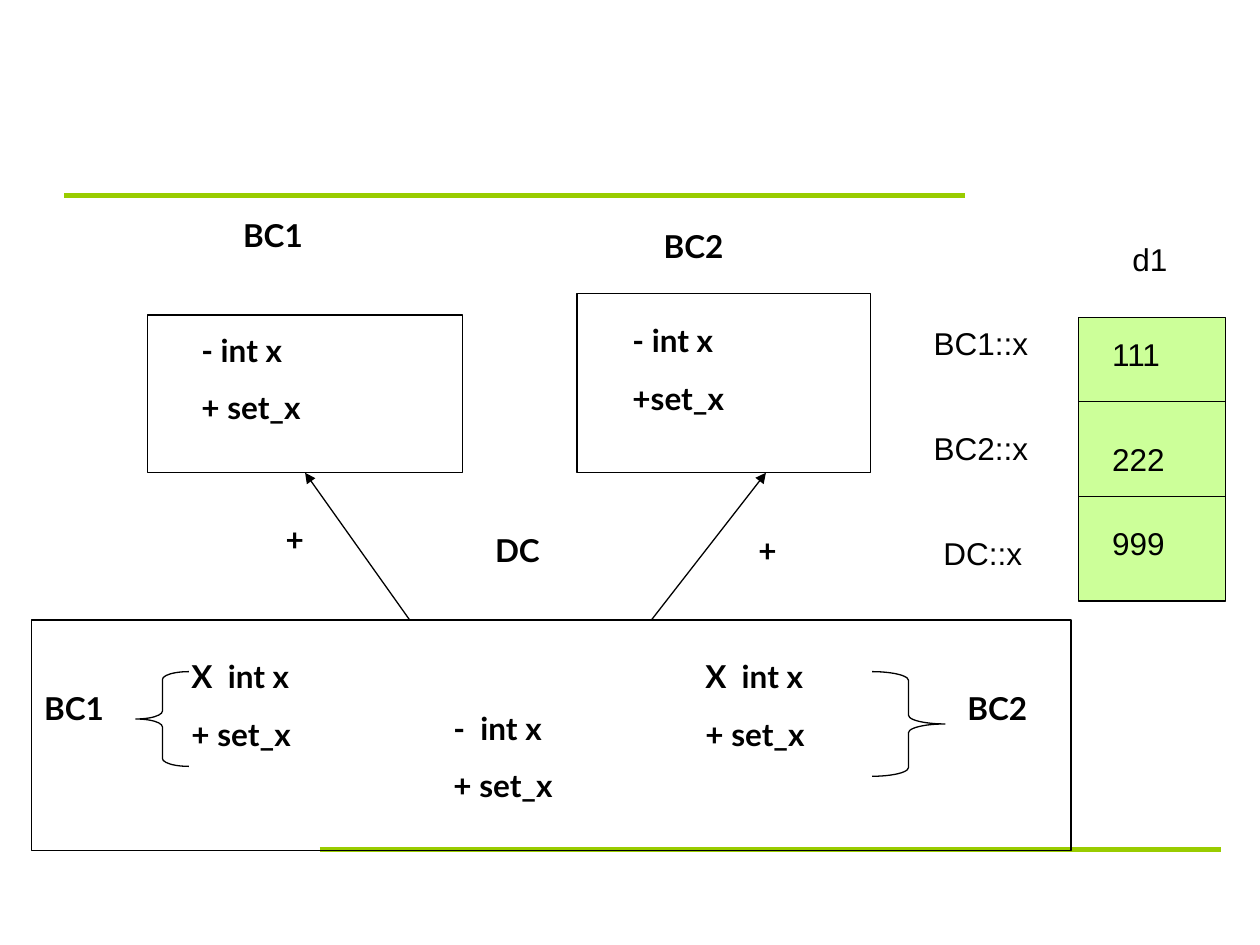
from lxml.etree import SubElement
from pptx import Presentation
from pptx.dml.color import RGBColor
from pptx.enum.shapes import MSO_CONNECTOR as Connector, MSO_SHAPE as Shape
from pptx.oxml.ns import qn
from pptx.util import Cm, Pt

COLORS = {"ink": "000000", "rule": "99CC00", "cell": "CCFF99"}
LINE_HEIGHT = 1.02
NEXT_LINE = 1.16
MEMBER_WIDTH = 4.01


def color(name):
    return RGBColor.from_string(COLORS[name])


def add_label(page, text, left, top, width, font="Lato", bold=True):
    lines = text.split("\n")
    height = LINE_HEIGHT + NEXT_LINE * (len(lines) - 1)
    box = page.shapes.add_textbox(Cm(left), Cm(top), Cm(width), Cm(height))
    frame = box.text_frame
    frame.word_wrap = True
    frame.text = text
    for index, para in enumerate(frame.paragraphs):
        if index:
            para.space_before = Pt(11.2)
        for span in para.runs:
            span.font.name = font
            span.font.size = Pt(18)
            span.font.bold = bold
            span.font.color.rgb = color("ink")


def add_outline(page, kind, left, top, width, height, fill=None):
    shape = page.shapes.add_shape(kind, Cm(left), Cm(top), Cm(width), Cm(height))
    shape.shadow.inherit = False
    if fill:
        shape.fill.solid()
        shape.fill.fore_color.rgb = color(fill)
    else:
        shape.fill.background()
    shape.line.color.rgb = color("ink")
    shape.line.width = Pt(0.75)
    return shape


def add_brace(page, kind, left, top, width, height):
    brace = add_outline(page, kind, left, top, width, height)
    brace.adjustments[0] = height / 12 / width


def add_line(page, x1, y1, x2, y2, name="ink", weight=0.75, arrow=False):
    line = page.shapes.add_connector(
        Connector.STRAIGHT, Cm(x1), Cm(y1), Cm(x2), Cm(y2))
    line.line.color.rgb = color(name)
    line.line.width = Pt(weight)
    if arrow:
        SubElement(line.line._get_or_add_ln(), qn("a:tailEnd"), type="triangle")
    SubElement(line._element.spPr, qn("a:effectLst"))


def add_rules(page):
    for left, top in [(1.3, 3.94), (6.45, 17.12)]:
        add_line(page, left, top, left + 18.16, top, "rule", 3)


def add_class_diagram(page):
    for bounds in [(2.97, 6.35, 6.35, 3.18), (11.63, 5.92, 5.92, 3.61),
                   (0.64, 12.5, 20.95, 4.65)]:
        add_outline(page, Shape.RECTANGLE, *bounds)
    for start, end in [(8.26, 6.15), (13.13, 15.44)]:
        add_line(page, start, 12.5, end, 9.53, arrow=True)
    add_brace(page, Shape.LEFT_BRACE, 2.74, 13.54, 1.07, 1.91)
    add_brace(page, Shape.RIGHT_BRACE, 17.58, 13.54, 1.47, 2.11)
    for label in [
        ("BC1", 4.65, 4.24, 3.38),
        ("BC2", 13.13, 4.45, 4.24),
        ("DC", 9.73, 10.59, 2.54),
        ("+", 5.51, 10.36, 1.7),
        ("+", 15.04, 10.59, 1.47),
        ("BC1", 0.64, 13.77, 3.38),
        ("BC2", 19.25, 13.77, 2.54),
        ("- int x\n+ set_x", 3.81, 6.55, MEMBER_WIDTH),
        ("- int x\n+set_x", 12.5, 6.35, MEMBER_WIDTH),
        ("X  int x\n+ set_x", 3.61, 13.13, MEMBER_WIDTH),
        ("X  int x\n+ set_x", 13.97, 13.13, MEMBER_WIDTH),
        ("-  int x\n+ set_x", 8.89, 14.17, MEMBER_WIDTH),
    ]:
        add_label(page, *label)


def add_memory_layout(page):
    left, width = 21.74, 2.97
    add_outline(page, Shape.RECTANGLE, left, 6.4, width, 5.72, "cell")
    for top in (8.1, 10.01):
        add_line(page, left, top, left + width, top)
    for label in [
        ("d1", 22.58, 4.72, 1.7),
        ("BC1::x", 18.57, 6.4, 2.97),
        ("BC2::x", 18.57, 8.53, 2.97),
        ("DC::x", 18.77, 10.64, 2.74),
        ("111", 22.17, 6.63, 2.34),
        ("222", 22.17, 8.74, 2.34),
        ("999", 22.17, 10.44, 2.34),
    ]:
        add_label(page, *label, font="Arial", bold=False)


def main():
    deck = Presentation()
    deck.slide_width, deck.slide_height = Cm(25.4), Cm(19.05)
    page = deck.slides.add_slide(deck.slide_layouts[6])
    add_rules(page)
    add_class_diagram(page)
    add_memory_layout(page)
    deck.save("out.pptx")


if __name__ == "__main__":
    main()
